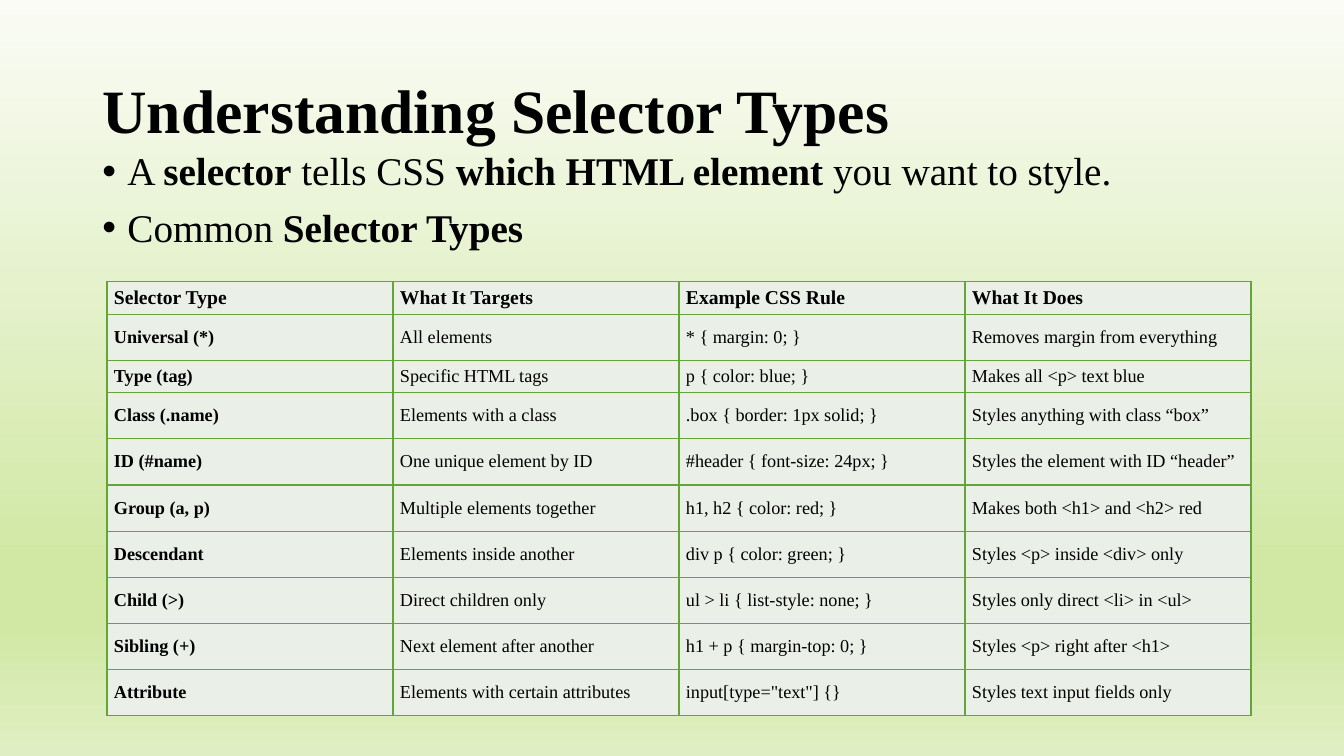
from typing import NamedTuple

from lxml.etree import SubElement
from pptx import Presentation
from pptx.dml.color import RGBColor
from pptx.enum.text import MSO_ANCHOR as Anchor, PP_ALIGN as Align
from pptx.oxml.ns import qn
from pptx.slide import Slide
from pptx.table import _Cell as Cell
from pptx.text.text import _Paragraph as Paragraph, _Run as Run
from pptx.util import Length, Pt

FONT = "Times New Roman"
BLACK = RGBColor(0x00, 0x00, 0x00)
CELL_FILL = RGBColor(0xEA, 0xF0, 0xE8)
BORDER_GREEN = RGBColor(0x63, 0xA5, 0x37)
SKY_WHITE = RGBColor(0xFA, 0xFC, 0xF5)
MEADOW = RGBColor(0xD1, 0xE8, 0xA5)
PALE_GREEN = RGBColor(0xE0, 0xEF, 0xC3)

TEXT_LEFT, TEXT_WIDTH = Pt(66), Pt(828)
BULLET_INDENT = Pt(18)
TABLE_LEFT, TABLE_TOP, COLUMN_WIDTH = Pt(76.4), Pt(200.8), Pt(204.3)
HEADER_HEIGHT, LOW_ROW_HEIGHT, ROW_HEIGHT = Pt(23.8), Pt(22.8), Pt(33)


class GradientStop(NamedTuple):
    percent: int
    color: RGBColor


class Phrase(NamedTuple):
    text: str
    bold: bool = False


class SelectorRow(NamedTuple):
    selector: str
    targets: str
    rule: str
    effect: str
    height: Length = ROW_HEIGHT


BACKGROUND = [
    GradientStop(0, SKY_WHITE),
    GradientStop(74, MEADOW),
    GradientStop(83, MEADOW),
    GradientStop(100, PALE_GREEN),
]

BULLETS = [
    [
        Phrase("A "),
        Phrase("selector", bold=True),
        Phrase(" tells CSS "),
        Phrase("which HTML element", bold=True),
        Phrase(" you want to style."),
    ],
    [Phrase("Common "), Phrase("Selector Types", bold=True)],
]

SELECTOR_ROWS = [
    SelectorRow("Selector Type", "What It Targets", "Example CSS Rule", "What It Does",
                HEADER_HEIGHT),
    SelectorRow("Universal (*)", "All elements", "* { margin: 0; }",
                "Removes margin from everything"),
    SelectorRow("Type (tag)", "Specific HTML tags", "p { color: blue; }",
                "Makes all <p> text blue", LOW_ROW_HEIGHT),
    SelectorRow("Class (.name)", "Elements with a class", ".box { border: 1px solid; }",
                "Styles anything with class “box”"),
    SelectorRow("ID (#name)", "One unique element by ID", "#header { font-size: 24px; }",
                "Styles the element with ID “header”"),
    SelectorRow("Group (a, p)", "Multiple elements together", "h1, h2 { color: red; }",
                "Makes both <h1> and <h2> red"),
    SelectorRow("Descendant", "Elements inside another", "div p { color: green; }",
                "Styles <p> inside <div> only"),
    SelectorRow("Child (>)", "Direct children only", "ul > li { list-style: none; }",
                "Styles only direct <li> in <ul>"),
    SelectorRow("Sibling (+)", "Next element after another", "h1 + p { margin-top: 0; }",
                "Styles <p> right after <h1>"),
    SelectorRow("Attribute", "Elements with certain attributes", 'input[type="text"] {}',
                "Styles text input fields only"),
]


def format_run(run: Run, size: float, bold: bool) -> None:
    font = run.font
    font.name, font.size, font.bold = FONT, Pt(size), bold
    font.color.rgb = BLACK


def fill_background(slide: Slide) -> None:
    fill = slide.background.fill
    fill.gradient()
    fill.gradient_angle = 270
    stop_list = slide.element.find(".//" + qn("a:gsLst"))
    stop_list.clear()
    for stop in BACKGROUND:
        entry = SubElement(stop_list, qn("a:gs"), pos=str(stop.percent * 1000))
        SubElement(entry, qn("a:srgbClr"), val=str(stop.color))


def add_title(slide: Slide) -> None:
    title = slide.shapes.title
    title.left, title.top, title.width, title.height = TEXT_LEFT, Pt(28.8), TEXT_WIDTH, Pt(104.4)
    frame = title.text_frame
    frame.text = "Understanding Selector Types"
    frame.vertical_anchor = Anchor.MIDDLE
    paragraph = frame.paragraphs[0]
    paragraph.alignment = Align.LEFT
    paragraph.line_spacing = 0.9
    format_run(paragraph.runs[0], 44, bold=True)


def set_bullet(paragraph: Paragraph) -> None:
    paragraph.line_spacing = 0.9
    paragraph.space_before = Pt(10)
    properties = paragraph._p.get_or_add_pPr()
    properties.set("marL", str(BULLET_INDENT))
    properties.set("indent", str(-BULLET_INDENT))
    SubElement(properties, qn("a:buFont"), typeface="Arial")
    SubElement(properties, qn("a:buChar"), char="•")


def add_bullets(slide: Slide) -> None:
    frame = slide.shapes.add_textbox(TEXT_LEFT, Pt(105.1), TEXT_WIDTH, Pt(381.6)).text_frame
    frame.word_wrap = True
    for index, phrases in enumerate(BULLETS):
        paragraph = frame.add_paragraph() if index else frame.paragraphs[0]
        set_bullet(paragraph)
        for phrase in phrases:
            run = paragraph.add_run()
            run.text = phrase.text
            format_run(run, 28, phrase.bold)


def add_borders(cell: Cell) -> None:
    properties = cell._tc.get_or_add_tcPr()
    for position, side in enumerate(("a:lnL", "a:lnR", "a:lnT", "a:lnB")):
        line = SubElement(properties, qn(side), w=str(Pt(1)))
        solid = SubElement(line, qn("a:solidFill"))
        SubElement(solid, qn("a:srgbClr"), val=str(BORDER_GREEN))
        properties.insert(position, line)


def format_cell(cell: Cell, text: str, size: float, bold: bool) -> None:
    cell.text_frame.text = text
    format_run(cell.text_frame.paragraphs[0].runs[0], size, bold)
    cell.vertical_anchor = Anchor.MIDDLE
    cell.margin_left = cell.margin_right = Pt(5)
    cell.margin_top = cell.margin_bottom = Pt(2.6)
    cell.fill.solid()
    cell.fill.fore_color.rgb = CELL_FILL
    add_borders(cell)


def add_selector_table(slide: Slide) -> None:
    height = sum(row.height for row in SELECTOR_ROWS)
    table = slide.shapes.add_table(
        len(SELECTOR_ROWS), 4, TABLE_LEFT, TABLE_TOP, COLUMN_WIDTH * 4, height
    ).table
    table.first_row = table.horz_banding = False
    for column in table.columns:
        column.width = COLUMN_WIDTH
    for row_index, row in enumerate(SELECTOR_ROWS):
        table.rows[row_index].height = row.height
        is_header = row_index == 0
        texts = (row.selector, row.targets, row.rule, row.effect)
        for column_index, text in enumerate(texts):
            format_cell(table.cell(row_index, column_index), text,
                        size=14 if is_header else 13,
                        bold=is_header or column_index == 0)


def main() -> None:
    presentation = Presentation()
    presentation.slide_width, presentation.slide_height = Pt(960), Pt(540)
    slide = presentation.slides.add_slide(presentation.slide_layouts.get_by_name("Title Only"))
    fill_background(slide)
    add_title(slide)
    add_bullets(slide)
    add_selector_table(slide)
    presentation.save("out.pptx")


if __name__ == "__main__":
    main()
